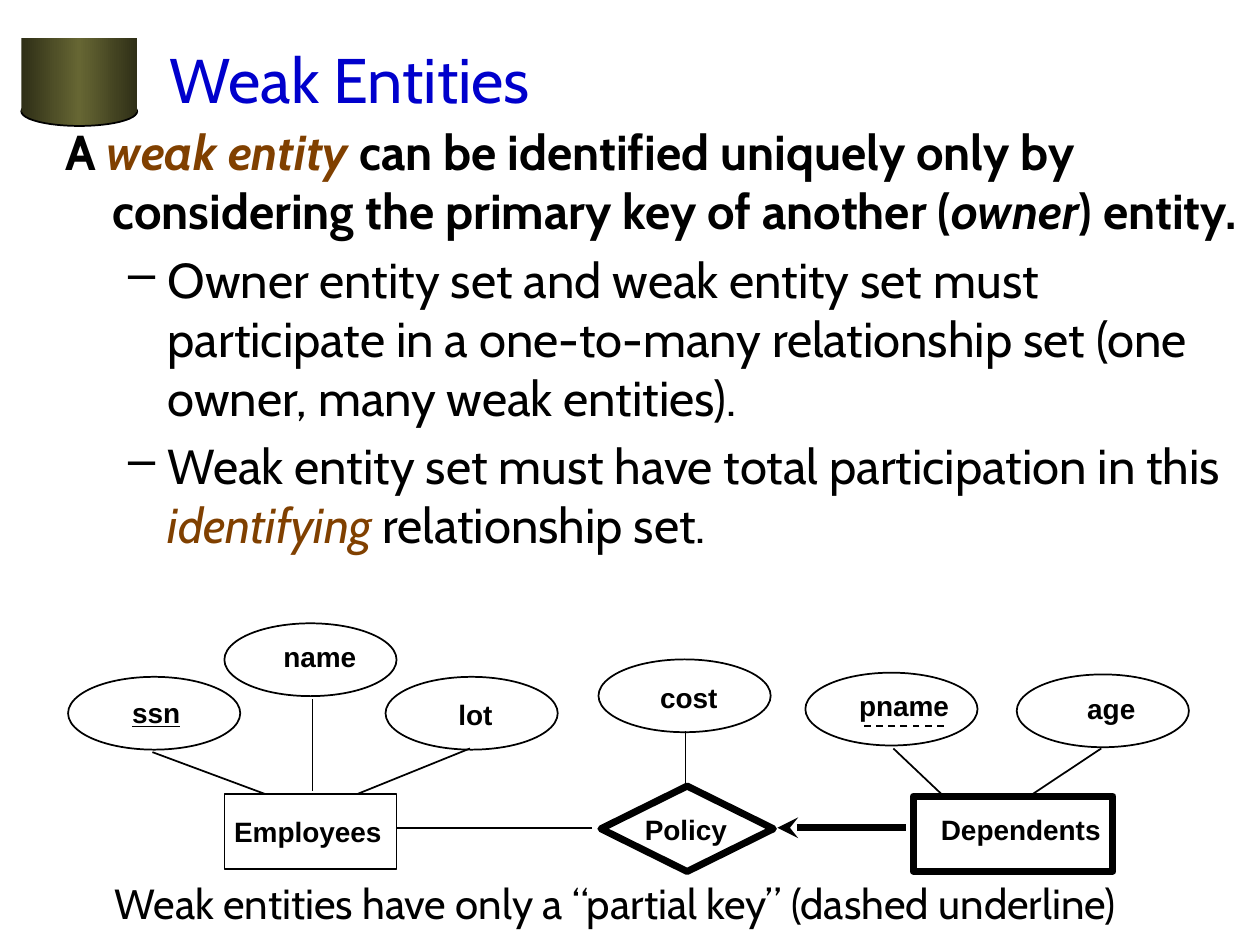
from lxml import etree
from pptx import Presentation
from pptx.dml.color import RGBColor
from pptx.enum import dml, shapes, text
from pptx.oxml import parse_xml
from pptx.oxml.ns import nsdecls, qn
from pptx.util import Pt

BLACK, BLUE, BROWN = "000000", "0000CC", "804000"


def color(value):
    return RGBColor.from_string(value)


def style(run, size, font, value=BLACK, bold=False, italic=False):
    run.font.size = Pt(size)
    run.font.name = font
    run.font.color.rgb = color(value)
    run.font.bold = bold
    run.font.italic = italic


deck = Presentation()
deck.slide_width, deck.slide_height = Pt(720), Pt(540)
slide = deck.slides.add_slide(deck.slide_layouts[6])
items = slide.shapes
kinds = shapes.MSO_SHAPE

for kind, top, height in [(kinds.OVAL, 55.4, 16.6), (kinds.RECTANGLE, 21.6, 42.5)]:
    drum = items.add_shape(kind, Pt(12.2), Pt(top), Pt(66.2), Pt(height))
    drum.shadow.inherit = False
    drum.fill.gradient()
    drum.fill.gradient_angle = 0
    stops = drum.fill._fill._gradFill.find(qn("a:gsLst"))
    for stop in list(stops):
        stops.remove(stop)
    for position, shade in [(0, "2F2F17"), (50, "666633"), (100, "2F2F17")]:
        stops.append(parse_xml(
            f'<a:gs {nsdecls("a")} pos="{position * 1000}"><a:srgbClr val="{shade}"/></a:gs>'))
    if kind == kinds.OVAL:
        drum.line.color.rgb = color(BLACK)
        drum.line.width = Pt(1)
    else:
        drum.line.fill.background()

title = items.add_textbox(Pt(90), Pt(0), Pt(612), Pt(90)).text_frame
title.word_wrap = True
title.vertical_anchor = text.MSO_ANCHOR.MIDDLE
title.text = "Weak Entities"
style(title.paragraphs[0].runs[0], 36, "Cabin", BLUE)

body = items.add_textbox(Pt(30.2), Pt(66.2), Pt(689.8), Pt(180)).text_frame
body.word_wrap = True
points = [
    (27, -27, True, [("A ", BLACK, False), ("weak entity ", BROWN, True),
                     ("can be identified uniquely only by considering the primary key of another (",
                      BLACK, False),
                     ("owner", BLACK, True), (") entity.", BLACK, False)]),
    (58.5, -22.5, False, [("Owner entity set and weak entity set must participate in a one-to-many "
                           "relationship set (one owner, many weak entities).", BLACK, False)]),
    (58.5, -22.5, False, [("Weak entity set must have total participation in this ", BLACK, False),
                          ("identifying ", BROWN, True), ("relationship set.", BLACK, False)]),
]
for number, (margin, indent, bold, pieces) in enumerate(points):
    point = body.add_paragraph() if number else body.paragraphs[0]
    point.level = min(number, 1)
    point.space_before = Pt(5.6)
    properties = point._p.get_or_add_pPr()
    properties.set("marL", str(Pt(margin)))
    properties.set("indent", str(Pt(indent)))
    if number:
        etree.SubElement(properties, qn("a:buChar")).set("char", "–")
    for words, value, italic in pieces:
        run = point.add_run()
        run.text = words
        style(run, 28, "Cabin", value, bold, italic)

oval = (kinds.OVAL, 98.4, 41.6, 1)
nodes = [
    ("ssn", *oval, 38.9, 386.8, 68.4, 393.8, 44),
    ("name", *oval, 128.2, 356.2, 154.8, 362.2, 58),
    ("lot", *oval, 220.3, 386.8, 254.9, 395.3, 36),
    ("cost", *oval, 342, 376.8, 370.1, 385.2, 49),
    ("pname", *oval, 460.2, 384.4, 483.8, 390.2, 68),
    ("age", *oval, 581, 385.4, 614.2, 391.7, 44),
    ("Employees", kinds.RECTANGLE, 98.4, 43.2, 1, 128.2, 453.6, 126.7, 462.2, 101),
    ("Policy", kinds.DIAMOND, 98.6, 48.8, 4, 343.4, 449.2, 361.4, 460.8, 64),
    ("Dependents", kinds.RECTANGLE, 114.2, 42.8, 4, 521.8, 455, 530.6, 460.8, 108),
]
for name, kind, width, height, weight, left, top, label_left, label_top, label_width in nodes:
    node = items.add_shape(kind, Pt(left), Pt(top), Pt(width), Pt(height))
    node.shadow.inherit = False
    node.fill.background()
    node.line.color.rgb = color(BLACK)
    node.line.width = Pt(weight)
    label = items.add_textbox(Pt(label_left), Pt(label_top), Pt(label_width), Pt(25.9)).text_frame
    label.word_wrap = False
    label.auto_size = text.MSO_AUTO_SIZE.SHAPE_TO_FIT_TEXT
    label.text = name
    caption_run = label.paragraphs[0].runs[0]
    style(caption_run, 16, "Arial", bold=True)
    if name == "ssn":
        caption_run.font.underline = True

links = [
    ("partial key", 539.3, 414.7, 491, 414.7),
    ("name", 178.6, 399.6, 178.6, 452.2),
    ("ssn", 87.1, 429.8, 151.2, 453.6),
    ("lot", 268.6, 427.7, 204.5, 453.6),
    ("cost", 391.7, 450, 391.7, 417.6),
    ("pname", 510.5, 427.7, 539.3, 455),
    ("age", 629.3, 427.7, 588.2, 455),
    ("Employees", 338.4, 473, 226.8, 473),
    ("Dependents", 444.2, 473, 517.7, 473),
]
for role, *ends in links:
    link = items.add_connector(shapes.MSO_CONNECTOR.STRAIGHT, *map(Pt, ends))
    link.line.color.rgb = color(BLACK)
    link.line.width = Pt(4 if role == "Dependents" else 1)
    if role == "partial key":
        link.line.dash_style = dml.MSO_LINE.DASH
    if role == "Dependents":
        etree.SubElement(link.line._get_or_add_ln(), qn("a:headEnd")).set("type", "stealth")
    etree.SubElement(link._element.spPr, qn("a:effectLst"))

remark = items.add_textbox(Pt(58.3), Pt(498.2), Pt(631.4), Pt(36)).text_frame
remark.word_wrap = True
remark.text = "Weak entities have only a “partial key” (dashed underline)"
style(remark.paragraphs[0].runs[0], 24, "Cabin")

deck.save("out.pptx")
